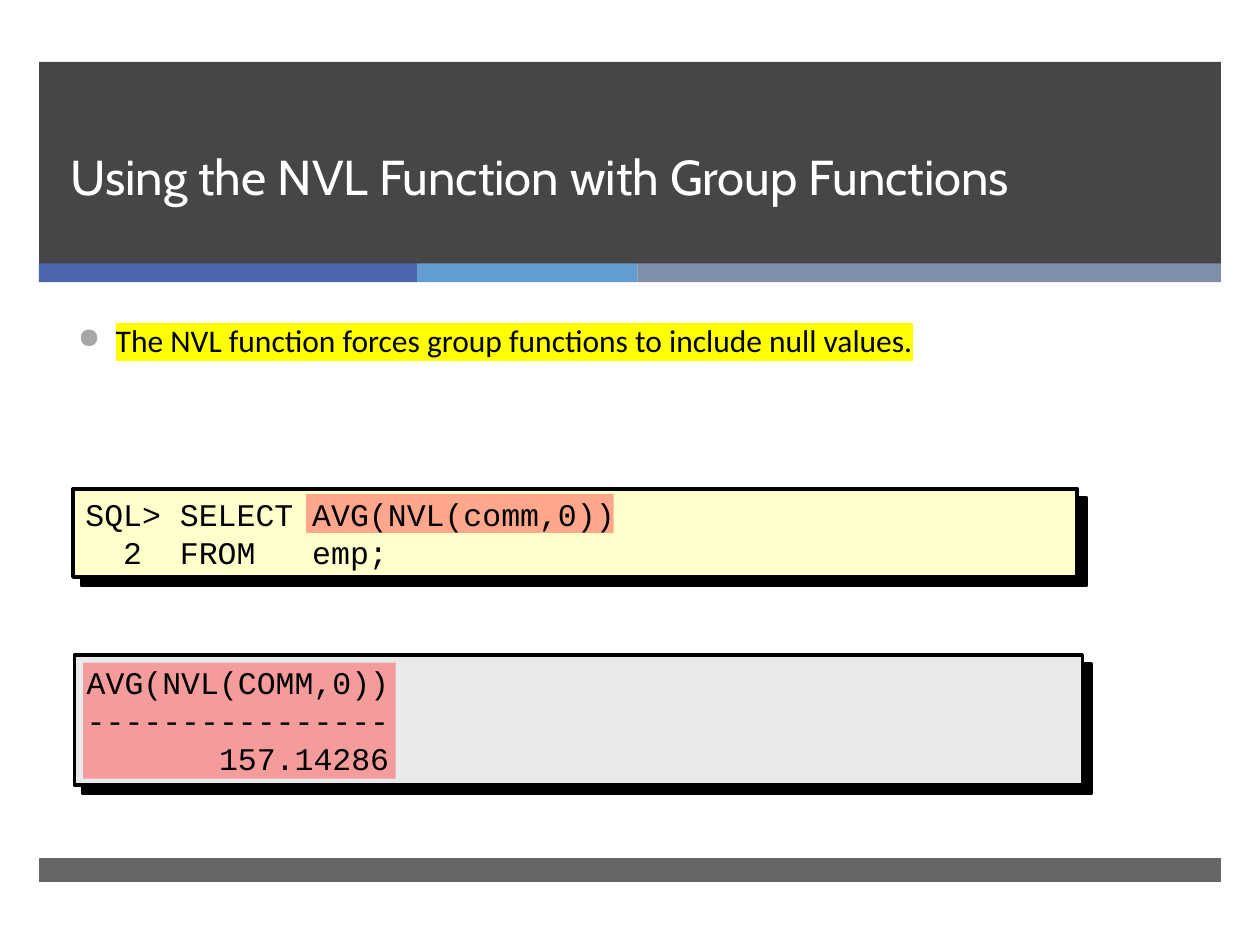
from dataclasses import dataclass
from itertools import accumulate

from lxml.etree import SubElement
from pptx import Presentation
from pptx.dml.color import RGBColor
from pptx.enum.shapes import MSO_SHAPE
from pptx.enum.text import MSO_ANCHOR
from pptx.oxml.ns import qn
from pptx.util import Inches, Pt


@dataclass(frozen=True)
class Theme:
    """Colours, fonts and sizes used on the slide."""
    dark: str = "262626"
    accents: tuple = ("4A66AC", "629DD1", "7F8FA9")
    title: str = "FFFFFF"
    ink: str = "000000"
    bullet: str = "A6A6A6"
    marker: str = "FFFF00"
    query: str = "FFFFCC"
    result: str = "EAEAEA"
    emphasis: str = "FF5050"
    heading_font: str = "Cabin"
    body_font: str = "Calibri"
    code_font: str = "Courier New"
    title_size: float = 28
    body_size: float = 18
    title_leading: float = 46
    code_leading: float = 21.7
    outline: float = 2
    shadow_distance: float = 7.1


@dataclass(frozen=True)
class Box:
    """An area on a grid of 100 columns by 75 rows."""
    column: float
    row: float
    columns: float
    rows: float

    def inner(self, column, row, columns, rows):
        """Return a box offset from this one's top left corner."""
        return Box(self.column + column, self.row + row, columns, rows)

    def lengths(self):
        """Return left, top, width and height as slide lengths."""
        return [Inches(units / 10) for units in (self.column, self.row, self.columns, self.rows)]


THEME = Theme()


def add_block(slide, box, color, opacity=100, outline=None):
    """Draw a filled rectangle, optionally translucent or outlined."""
    shape = slide.shapes.add_shape(MSO_SHAPE.RECTANGLE, *box.lengths())
    shape.shadow.inherit = False
    shape.fill.solid()
    shape.fill.fore_color.rgb = RGBColor.from_string(color)
    if opacity < 100:
        fill_color = shape._element.spPr.find(f"{qn('a:solidFill')}/{qn('a:srgbClr')}")
        SubElement(fill_color, qn("a:alpha"), val=str(opacity * 1000))
    if outline:
        shape.line.color.rgb = RGBColor.from_string(outline)
        shape.line.width = Pt(THEME.outline)
    else:
        shape.line.fill.background()
    return shape


def add_shadow(shape):
    """Give a shape a hard shadow towards the lower right."""
    effects = shape._element.spPr.find(qn("a:effectLst"))
    shadow = SubElement(effects, qn("a:outerShdw"), blurRad="0", algn="ctr", rotWithShape="0",
                        dist=str(Pt(THEME.shadow_distance)), dir=str(45 * 60000))
    SubElement(shadow, qn("a:srgbClr"), val=THEME.ink)


def add_bullet(paragraph):
    """Put a grey hanging bullet before a paragraph."""
    properties = paragraph._p.get_or_add_pPr()
    properties.set("marL", str(Inches(0.3)))
    properties.set("indent", str(Inches(-0.3)))
    SubElement(SubElement(properties, qn("a:buClr")), qn("a:srgbClr"), val=THEME.bullet)
    SubElement(properties, qn("a:buSzPct"), val="90000")
    SubElement(properties, qn("a:buChar"), char="●")


def add_text(slide, box, text, font, size, color=THEME.ink, anchor=MSO_ANCHOR.TOP,
             leading=None, bullet=False, highlight=None):
    """Write text, one paragraph a line, in the given format."""
    frame = slide.shapes.add_textbox(*box.lengths()).text_frame
    frame.word_wrap = True
    frame.vertical_anchor = anchor
    for index, line in enumerate(text.split("\n")):
        paragraph = frame.add_paragraph() if index else frame.paragraphs[0]
        if leading:
            paragraph.line_spacing = Pt(leading)
        if bullet:
            add_bullet(paragraph)
        run = paragraph.add_run()
        run.text = line
        run.font.size = Pt(size)
        run.font.color.rgb = RGBColor.from_string(color)
        if highlight:
            marker = SubElement(run._r.get_or_add_rPr(), qn("a:highlight"))
            SubElement(marker, qn("a:srgbClr"), val=highlight)
        run.font.name = font


def add_header(slide, box, title):
    """Place the dark title band and the coloured strip below it."""
    add_block(slide, box.inner(0, 0, box.columns, 16.1), THEME.dark, opacity=85)
    widths = (30, 17.5, box.columns - 47.5)
    for start, width, color in zip(accumulate(widths, initial=0), widths, THEME.accents):
        add_block(slide, box.inner(start, 16, width, 1.5), color)
    add_text(slide, box.inner(1.5, 0, 85.4, 11.9), title, THEME.heading_font, THEME.title_size,
             color=THEME.title, anchor=MSO_ANCHOR.BOTTOM, leading=THEME.title_leading)


def add_statement(slide, box, text):
    """Place the highlighted bullet point."""
    add_text(slide, box, text, THEME.body_font, THEME.body_size,
             bullet=True, highlight=THEME.marker)


def add_code_panel(slide, box, code, color, emphasis):
    """Place a shadowed panel of code with one emphasised area."""
    add_shadow(add_block(slide, box, color, outline=THEME.ink))
    add_block(slide, box.inner(*emphasis), THEME.emphasis, opacity=50)
    add_text(slide, box, code, THEME.code_font, THEME.body_size,
             anchor=MSO_ANCHOR.MIDDLE, leading=THEME.code_leading)


def add_footer(slide, box):
    """Place the closing band."""
    add_block(slide, box, THEME.dark, opacity=70)


def main():
    """Build and save the presentation."""
    presentation = Presentation()
    presentation.slide_width, presentation.slide_height = Inches(10), Inches(7.5)
    slide = presentation.slides.add_slide(presentation.slide_layouts[6])
    add_header(slide, Box(3.1, 4.9, 93.8, 17.5), "Using the NVL Function with Group Functions")
    add_footer(slide, Box(3.1, 68.1, 93.8, 1.9))
    add_statement(slide, Box(5.2, 25, 80.8, 9.9),
                  "The NVL function forces group functions to include null values.")
    add_code_panel(slide, Box(5.8, 38.8, 79.7, 7),
                   "SQL> SELECT AVG(NVL(comm,0))\n  2  FROM   emp;",
                   THEME.query, emphasis=(18.5, 0.4, 24.4, 3.1))
    add_code_panel(slide, Box(5.9, 52, 80, 10.3),
                   "AVG(NVL(COMM,0))\n----------------\n       157.14286",
                   THEME.result, emphasis=(0.7, 0.6, 24.8, 9.2))
    presentation.save("out.pptx")


if __name__ == "__main__":
    main()
